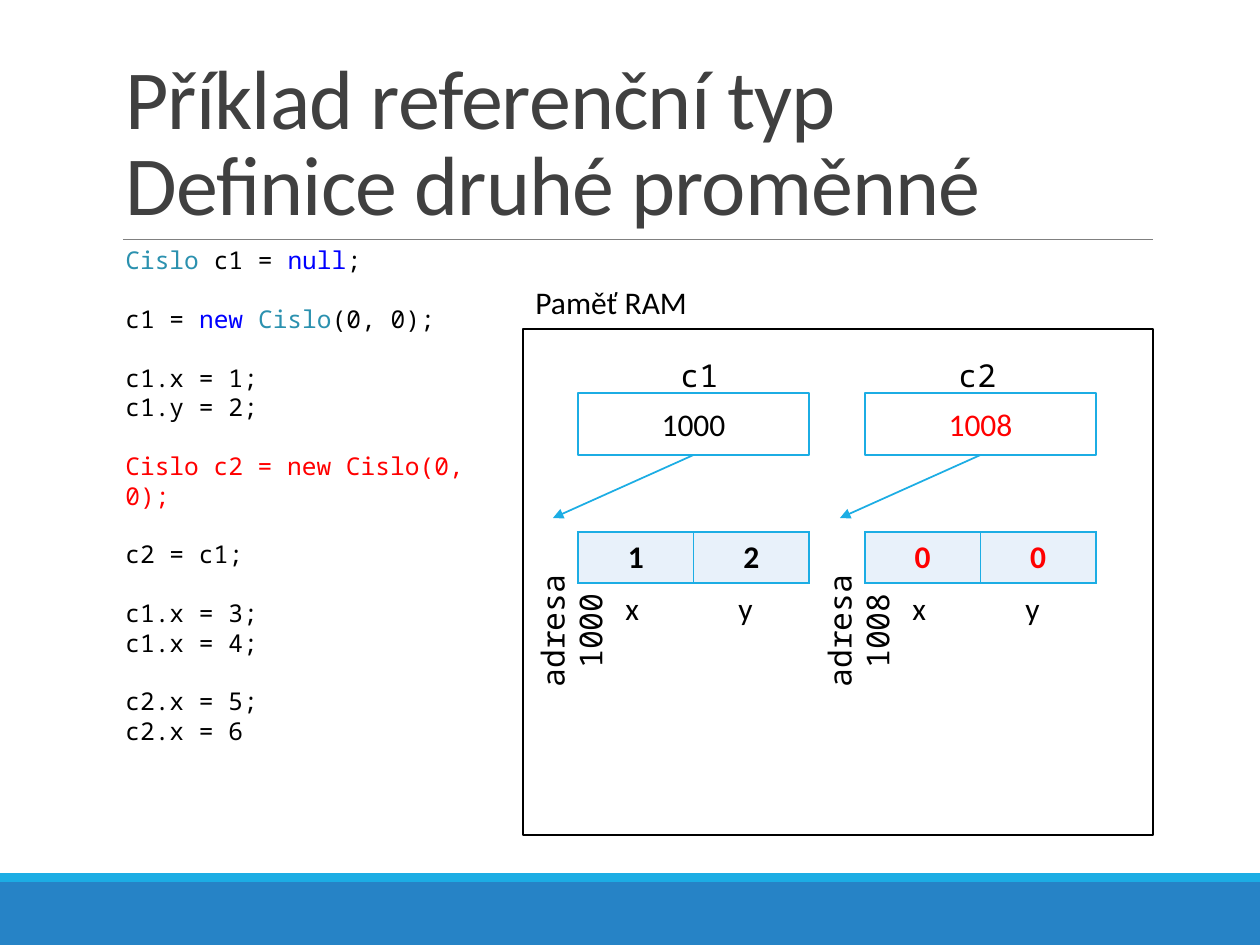
from lxml.etree import SubElement
from pptx import Presentation
from pptx.dml.color import RGBColor
from pptx.enum.shapes import MSO_CONNECTOR, MSO_SHAPE
from pptx.enum.text import MSO_ANCHOR, PP_ALIGN
from pptx.oxml.ns import qn
from pptx.util import Pt

SCALE = 914400 / 126
COLORS = {
    "white": "FFFFFF", "black": "000000", "red": "FF0000", "title": "404040",
    "rule": "808080", "band": "2683C6", "accent": "1CADE4", "cell": "E8F1FA",
    "type": "2B91AF", "keyword": "0000FF",
}
SANS, MONO = "Calibri", "Noto Sans Mono"
CODE_SIZE, CODE_GAP = 14, 16.8

# Each block of code is a list of lines, each line a list of (text, color) runs.
CODE = [
    [[("Cislo", "type"), (" c1 = ", "black"), ("null", "keyword"), (";", "black")]],
    [[("c1 = ", "black"), ("new ", "keyword"), ("Cislo", "type"), ("(0, 0);", "black")]],
    [[("c1.x = 1;", "black")], [("c1.y = 2;", "black")]],
    [[("Cislo c2 = new Cislo(0, 0);", "red")]],
    [[("c2 = c1;", "black")]],
    [[("c1.x = 3;", "black")], [("c1.x = 4;", "black")]],
    [[("c2.x = 5;", "black")], [("c2.x = 6", "black")]],
]


def px(n):
    return round(n * SCALE)


def rgb(name):
    return RGBColor.from_string(COLORS[name])


def add_run(p, text, font=SANS, size=18, color="black", bold=False, spacing=None):
    r = p.add_run()
    r.text = text
    r.font.name, r.font.size, r.font.bold = font, Pt(size), bold
    r.font.color.rgb = rgb(color)
    if spacing is not None:
        r.font._element.set("spc", str(spacing))
    return r


def write(tf, text, align=PP_ALIGN.LEFT, anchor=MSO_ANCHOR.TOP, line_spacing=None,
          tabs=(), **font):
    """Fill a text frame with one paragraph; a newline becomes a line break."""
    tf.word_wrap = True
    tf.vertical_anchor = anchor
    p = tf.paragraphs[0]
    p.alignment = align
    if line_spacing:
        p.line_spacing = line_spacing
    if tabs:
        tab_list = SubElement(p._p.get_or_add_pPr(), qn("a:tabLst"))
        for pos in tabs:
            SubElement(tab_list, qn("a:tab"), pos=str(px(pos)), algn="l")
    for i, line in enumerate(text.split("\n")):
        if i:
            p.add_line_break()
        add_run(p, line, **font)


def add_text(s, x, y, w, h, text, rotation=0, **fmt):
    sp = s.shapes.add_textbox(px(x), px(y), px(w), px(h))
    sp.rotation = rotation
    write(sp.text_frame, text, **fmt)


def add_box(s, x, y, w, h, fill="white", line=None):
    sp = s.shapes.add_shape(MSO_SHAPE.RECTANGLE, px(x), px(y), px(w), px(h))
    sp.shadow.inherit = False
    sp.fill.solid()
    sp.fill.fore_color.rgb = rgb(fill)
    if line:
        sp.line.color.rgb = rgb(line)
        sp.line.width = Pt(1.25)
    else:
        sp.line.fill.background()
    return sp


def add_line(s, x1, y1, x2, y2, color, width, arrow=False):
    cx = s.shapes.add_connector(MSO_CONNECTOR.STRAIGHT, px(x1), px(y1), px(x2), px(y2))
    cx.line.color.rgb = rgb(color)
    cx.line.width = Pt(width)
    if arrow:
        SubElement(cx.line._get_or_add_ln(), qn("a:tailEnd"), type="triangle")
    SubElement(cx._element.spPr, qn("a:effectLst"))


def add_cell_borders(cell, color, width):
    pr = cell._tc.get_or_add_tcPr()
    for i, side in enumerate(("lnL", "lnR", "lnT", "lnB")):
        ln = pr.makeelement(qn(f"a:{side}"), {"w": str(Pt(width))})
        fill = SubElement(ln, qn("a:solidFill"))
        SubElement(fill, qn("a:srgbClr"), val=COLORS[color])
        pr.insert(i, ln)


def add_fields(s, x, y, w, h, values, color):
    """Draw the fields of one object as a one-row table."""
    table = s.shapes.add_table(1, len(values), px(x), px(y), px(w), px(h)).table
    table.first_row = table.horz_banding = False
    for cell, value in zip(table.rows[0].cells, values):
        cell.fill.solid()
        cell.fill.fore_color.rgb = rgb("cell")
        add_cell_borders(cell, "accent", 1)
        write(cell.text_frame, value, align=PP_ALIGN.CENTER, color=color, bold=True)


def add_frame(s, w, h):
    add_box(s, 0, h - 63, w, 63, "band")
    add_box(s, 0, h - 72, w, 9, "accent")
    add_line(s, 123, 239, 1153, 239, "rule", 0.5)


def add_title(s, x, y, w, h):
    add_text(s, x, y, w, h, "Příklad referenční typ\nDefinice druhé proměnné",
             anchor=MSO_ANCHOR.BOTTOM, line_spacing=0.85, size=48, color="title",
             spacing=-50)


def add_code(s, x, y, w, h):
    tf = s.shapes.add_textbox(px(x), px(y), px(w), px(h)).text_frame
    tf.word_wrap = True
    p = tf.paragraphs[0]
    for b, block in enumerate(CODE):
        for i, line in enumerate(block):
            if b or i:
                p = tf.add_paragraph()
            if b and not i:
                p.space_before = Pt(CODE_GAP)
            for text, color in line:
                add_run(p, text, font=MONO, size=CODE_SIZE, color=color)


def add_variable(s, x, y, name, name_x, address, values, color):
    """Draw a reference variable and the object its address points to."""
    w = 231
    sp = add_box(s, x, y, w, 62, line="accent")
    write(sp.text_frame, address, align=PP_ALIGN.CENTER, anchor=MSO_ANCHOR.MIDDLE,
          color=color)
    add_text(s, x + name_x, y - 43, 68, 50, name, font=MONO)
    add_line(s, x + w / 2, y + 62, x - 25, y + 125, "accent", 1, arrow=True)
    add_fields(s, x, y + 139, w, 51, values, color)
    add_text(s, x, y + 190, w, 50, "\tx\ty", tabs=(35, 148))
    add_text(s, x - 140, y + 213, 228, 50, f"adresa {address}", rotation=270,
             align=PP_ALIGN.CENTER, font=MONO)


def add_memory(s, x, y, w, h):
    add_box(s, x, y, w, h, line="black")
    add_text(s, x, y - 52, 234, 50, "Paměť RAM")
    add_variable(s, x + 55, y + 64, "c1", 90, "1000", "12", "black")
    add_variable(s, x + 342, y + 64, "c2", 81, "1008", "00", "red")


def main():
    prs = Presentation()
    prs.slide_width, prs.slide_height = px(1260), px(945)
    s = prs.slides.add_slide(prs.slide_layouts[6])
    add_frame(s, 1260, 945)
    add_title(s, 113, 39, 1040, 200)
    add_code(s, 113, 239, 393, 488)
    add_memory(s, 523, 329, 630, 506)
    prs.save("out.pptx")


if __name__ == "__main__":
    main()
